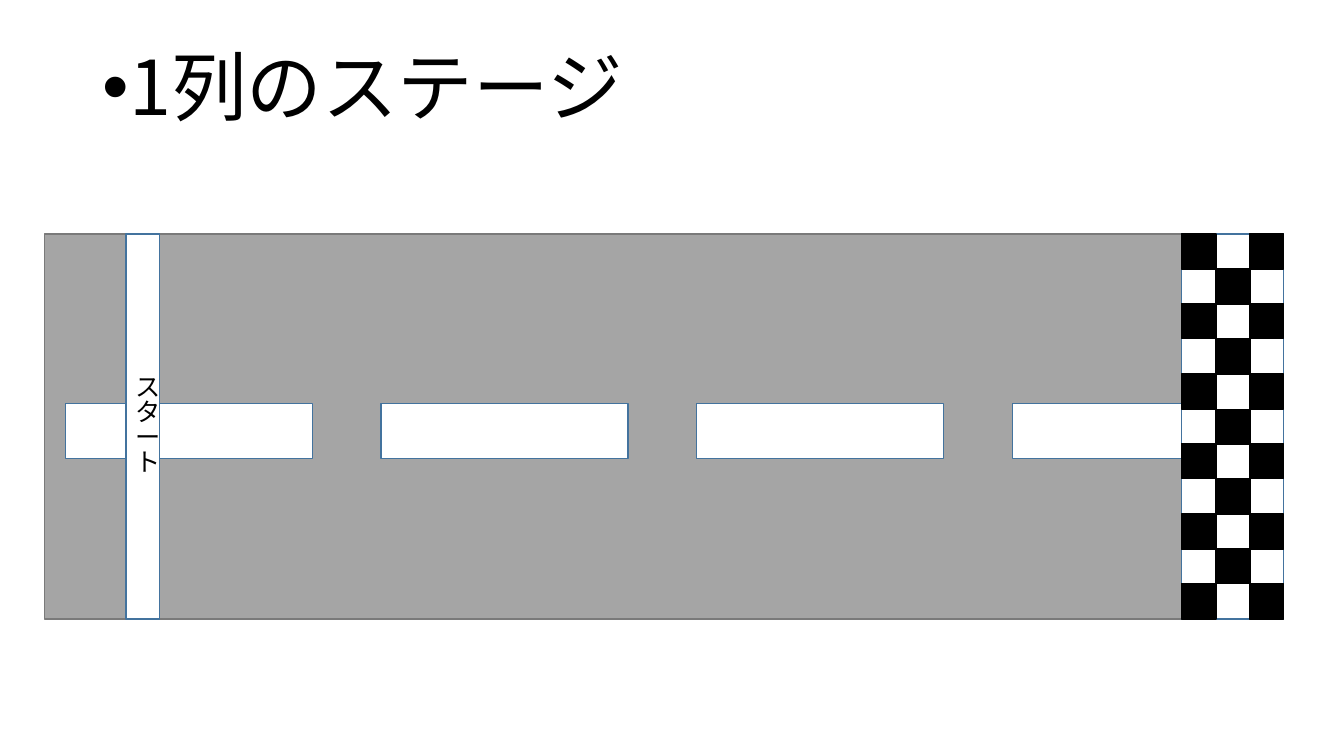
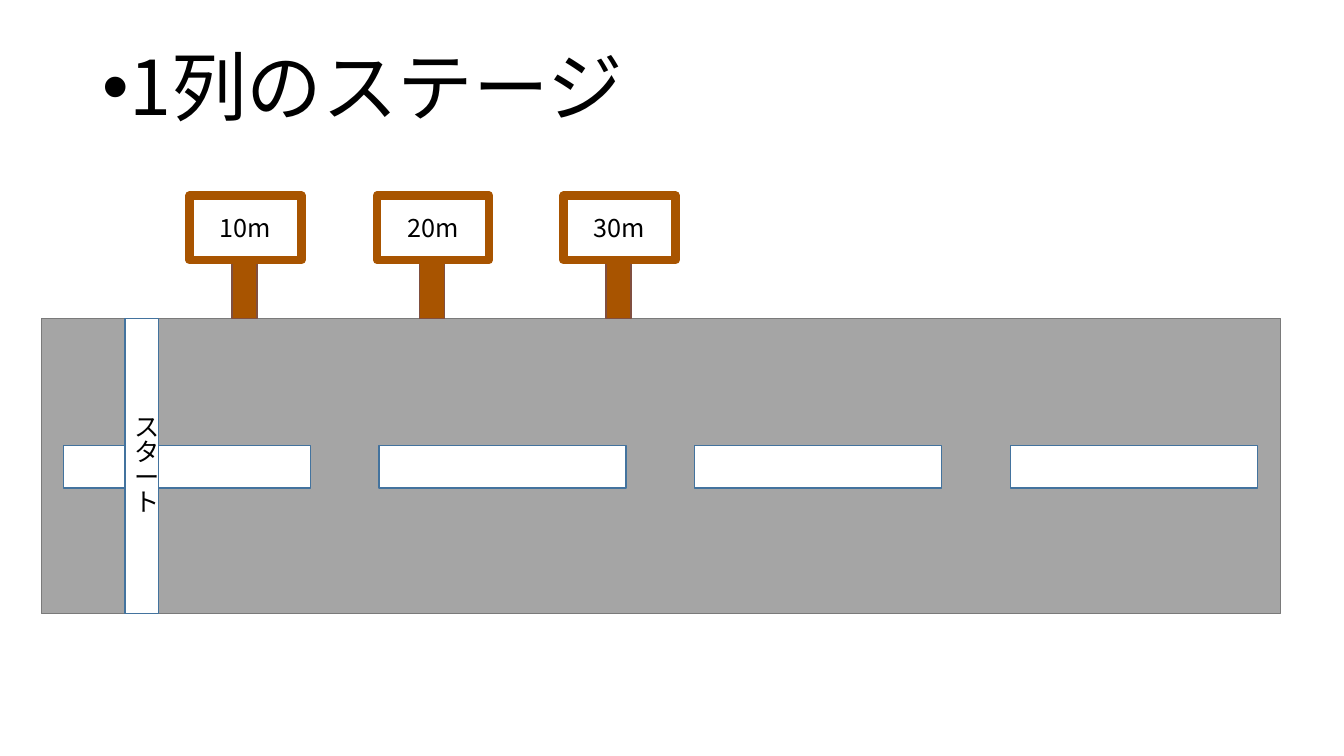
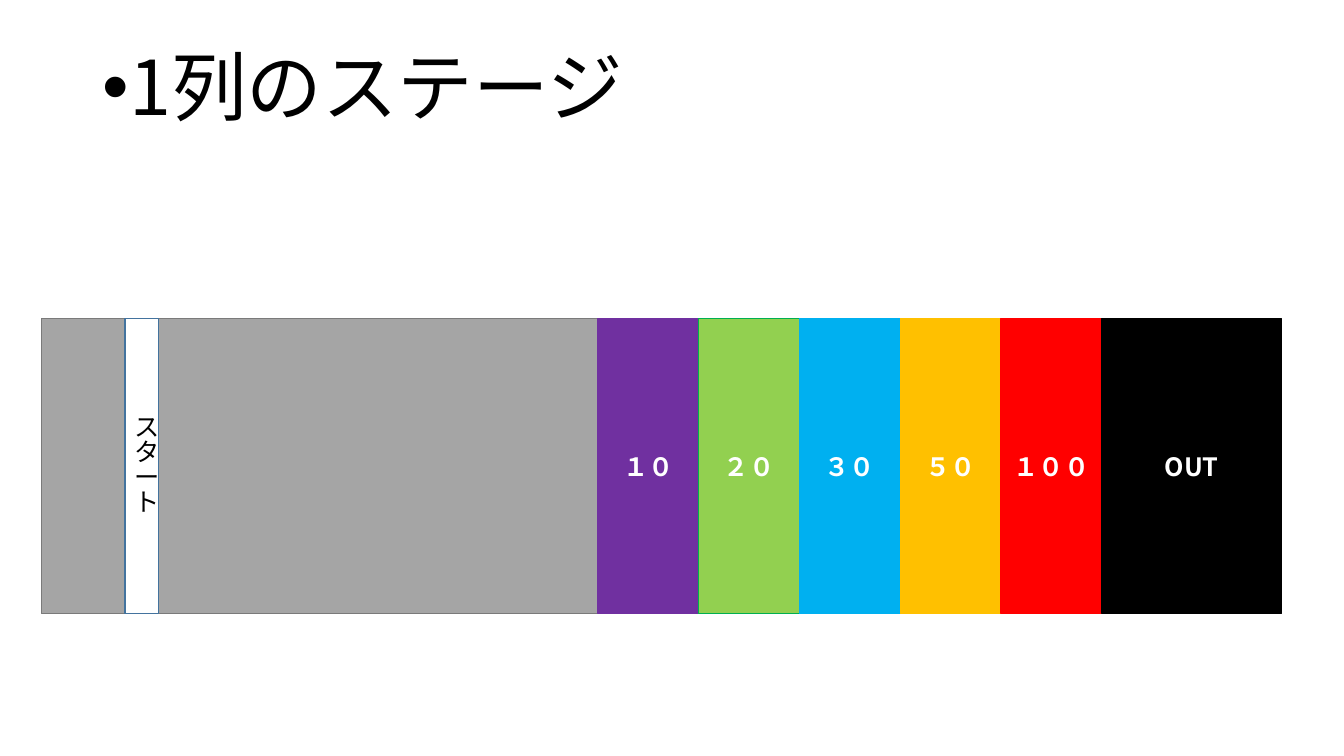
from dataclasses import dataclass
from typing import NamedTuple, Optional

from lxml.etree import SubElement
from pptx import Presentation
from pptx.dml.color import RGBColor
from pptx.enum.shapes import MSO_SHAPE as Preset
from pptx.enum.text import MSO_ANCHOR as Anchor, PP_ALIGN as Align
from pptx.oxml.ns import qn
from pptx.slide import Slide
from pptx.text.text import _Paragraph as Paragraph
from pptx.util import Emu, Pt

PX = 9144  # 100 px to the inch
FONT = "Noto Sans CJK JP"
COLORS = {
    "white": "FFFFFF", "black": "000000", "asphalt": "A5A5A5", "curb": "7A7A7A",
    "outline": "43739E", "wood": "A85400", "wood_edge": "804F40",
    "purple": "7030A0", "lime": "92D050", "green": "00B050",
    "sky": "00B0F0", "amber": "FFC000", "red": "FF0000",
}


class Box(NamedTuple):
    left: int
    top: int
    width: int
    height: int

    def emu(self) -> list[Emu]:
        return [Emu(length * PX) for length in self]


@dataclass(frozen=True)
class Label:
    text: str
    color: str = "black"
    bold: bool = False
    spacing: Optional[float] = None


@dataclass(frozen=True)
class Stage:
    road: Box
    start_left: int
    first_dash: Optional[Box] = None


@dataclass(frozen=True)
class Zone:
    text: str
    fill: str
    line: str
    width: int = 100


TITLE_BOX = Box(92, 45, 1150, 102)
DASH_COUNT, DASH_STEP = 4, 313
START_WIDTH = 33
CHECK_ROWS, CHECK_COLUMNS = 11, 3
CHECK_WIDTH, CHECK_HEIGHT = 34, 35
SIGN_STEP = 185.5

LOWER_ROAD = Box(41, 316, 1229, 293)
GOAL_STAGE = Stage(Box(44, 232, 1229, 382), 125, Box(65, 400, 245, 55))
SIGN_STAGE = Stage(LOWER_ROAD, 124, Box(63, 442, 245, 42))
SCORE_STAGE = Stage(LOWER_ROAD, 124)
GOAL = Box(1172, 232, 101, 382)
FIRST_BOARD = Box(188, 194, 111, 64)
ZONES = [
    Zone("１０", "purple", "purple"),
    Zone("２０", "lime", "green"),
    Zone("３０", "sky", "sky"),
    Zone("５０", "amber", "amber"),
    Zone("１００", "red", "red"),
    Zone("OUT", "black", "black", 178),
]


def rgb(name: str) -> RGBColor:
    return RGBColor.from_string(COLORS[name])


def style_font(para: Paragraph, size: int, color: str, bold: bool = False) -> None:
    font = para.font
    font.name, font.size, font.bold = FONT, Pt(size), bold
    font.color.rgb = rgb(color)
    SubElement(font._element, qn("a:ea"), typeface=FONT)


def add_rect(page: Slide, box: Box, fill: str, line: str,
             line_width: int = 1, label: Optional[Label] = None) -> None:
    rect = page.shapes.add_shape(Preset.RECTANGLE, *box.emu())
    rect.shadow.inherit = False
    rect.fill.solid()
    rect.fill.fore_color.rgb = rgb(fill)
    rect.line.color.rgb = rgb(line)
    rect.line.width = Pt(line_width)
    if label:
        frame = rect.text_frame
        frame.word_wrap = True
        frame.vertical_anchor = Anchor.MIDDLE
        para = frame.paragraphs[0]
        para.text, para.alignment = label.text, Align.CENTER
        if label.spacing:
            para.line_spacing = label.spacing
        style_font(para, 18, label.color, label.bold)


def add_title(page: Slide, text: str) -> None:
    frame = page.shapes.add_textbox(*TITLE_BOX.emu()).text_frame
    frame.word_wrap = True
    para = frame.paragraphs[0]
    para.text = text
    para.line_spacing, para.space_before = 0.9, Pt(10)
    props = para._p.get_or_add_pPr()
    props.set("marL", str(25 * PX))
    props.set("indent", str(-25 * PX))
    SubElement(props, qn("a:buFont"), typeface="Arial")
    SubElement(props, qn("a:buChar"), char="•")
    style_font(para, 54, "black")


def add_road(page: Slide, stage: Stage) -> None:
    add_rect(page, stage.road, "asphalt", "curb")
    dash = stage.first_dash
    if dash:
        for index in range(DASH_COUNT):
            left = dash.left + index * DASH_STEP
            add_rect(page, dash._replace(left=left), "white", "outline")


def add_start(page: Slide, stage: Stage) -> None:
    box = stage.road._replace(left=stage.start_left, width=START_WIDTH)
    add_rect(page, box, "white", "outline", label=Label("スタート", spacing=0.83))


def add_goal(page: Slide) -> None:
    add_rect(page, GOAL, "white", "outline")
    column_step = (GOAL.width - CHECK_WIDTH) / (CHECK_COLUMNS - 1)
    row_step = (GOAL.height - CHECK_HEIGHT) / (CHECK_ROWS - 1)
    for row in range(CHECK_ROWS):
        for column in range(row % 2, CHECK_COLUMNS, 2):
            left = GOAL.left + round(column * column_step)
            top = GOAL.top + round(row * row_step)
            add_rect(page, Box(left, top, CHECK_WIDTH, CHECK_HEIGHT), "black", "black")


def add_sign(page: Slide, index: int, text: str) -> None:
    board = FIRST_BOARD._replace(left=FIRST_BOARD.left + round(index * SIGN_STEP))
    post = Box(board.left + 42, 259, 25, 57)
    add_rect(page, post, "wood", "wood_edge")
    add_rect(page, board, "white", "wood", 6, Label(text))


def add_zones(page: Slide) -> None:
    left = 593
    for zone in ZONES:
        box = LOWER_ROAD._replace(left=left, width=zone.width)
        add_rect(page, box, zone.fill, zone.line, label=Label(zone.text, "white", True))
        left += zone.width


def main() -> None:
    deck = Presentation()
    deck.slide_width, deck.slide_height = Emu(1333 * PX), Emu(750 * PX)
    pages = [deck.slides.add_slide(deck.slide_layouts[6]) for _ in range(3)]
    goal_page, sign_page, score_page = pages
    for page, stage in zip(pages, (GOAL_STAGE, SIGN_STAGE, SCORE_STAGE)):
        add_title(page, "1列のステージ")
        add_road(page, stage)
        if page is goal_page:
            add_goal(page)
        add_start(page, stage)

    for index, distance in enumerate(("10m", "20m", "30m")):
        add_sign(sign_page, index, distance)
    add_zones(score_page)
    deck.save("out.pptx")


if __name__ == "__main__":
    main()
